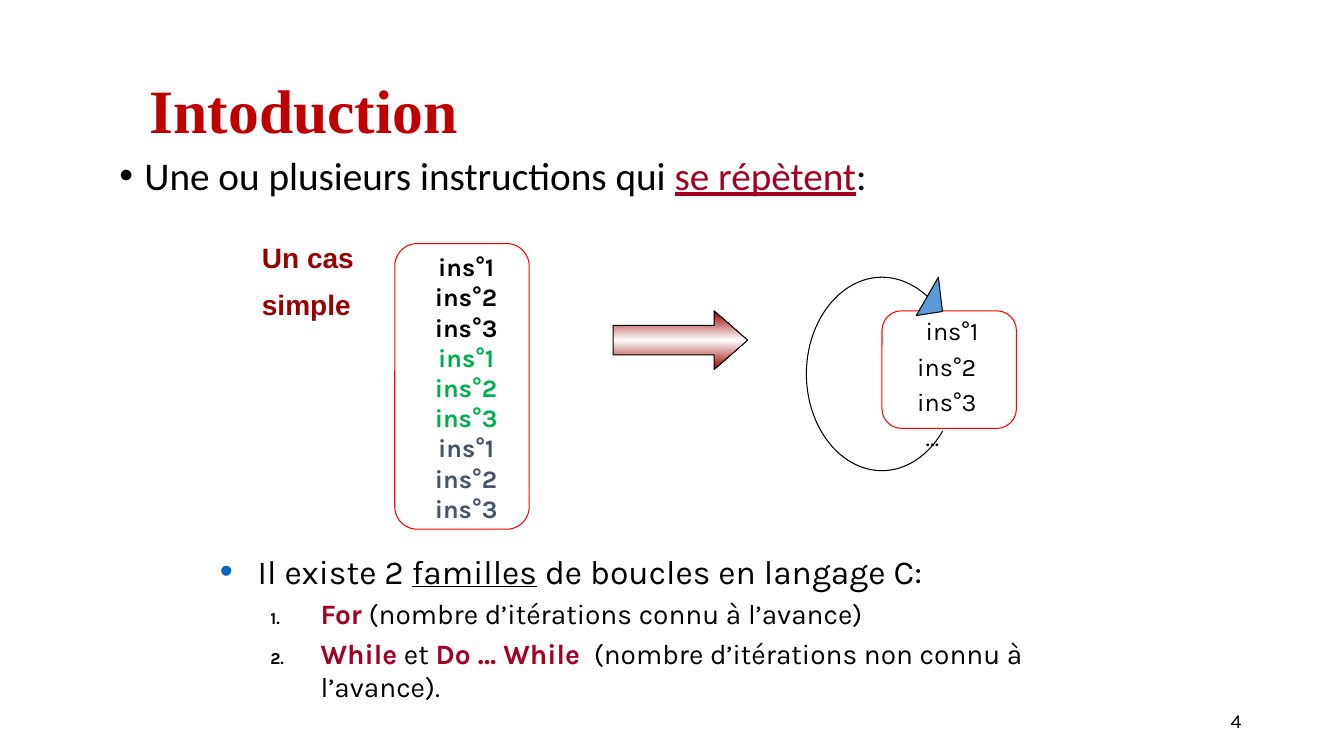
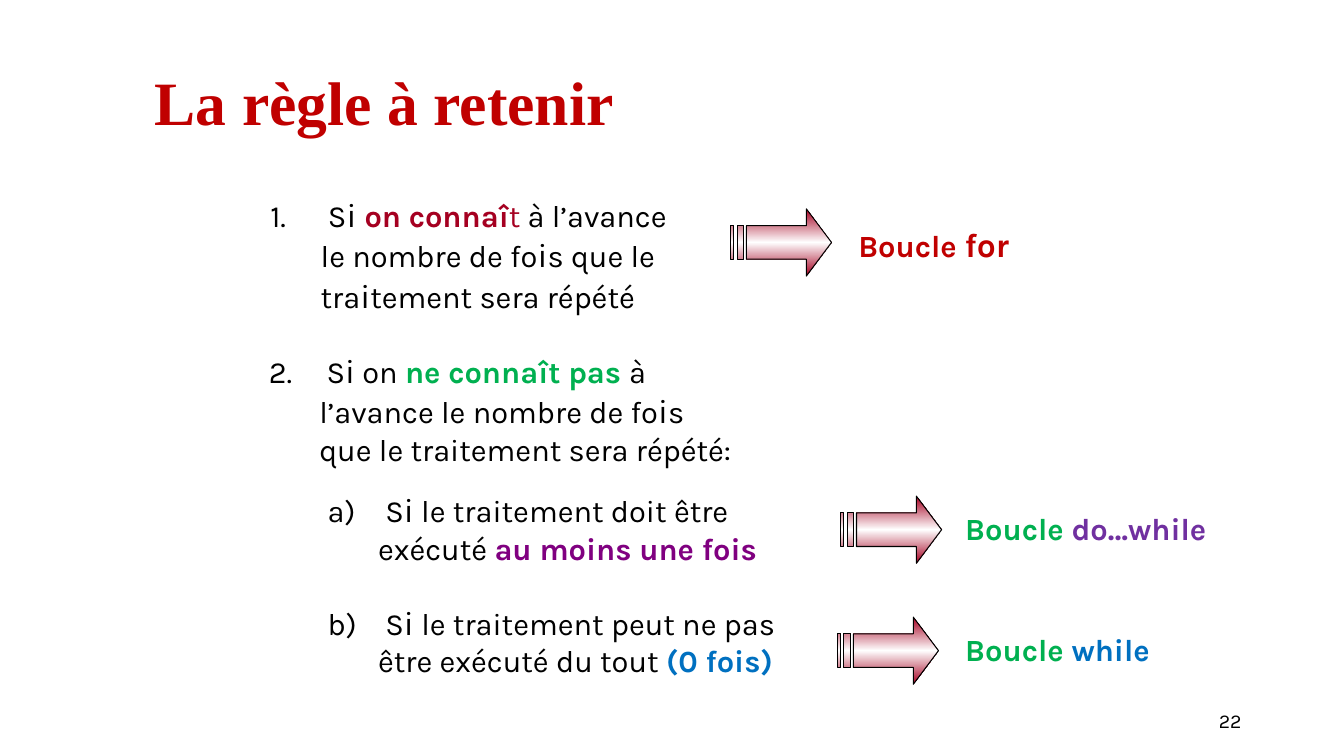
from lxml import etree
from pptx import Presentation
from pptx import util as u
from pptx.dml.color import RGBColor
from pptx.enum import shapes, text
from pptx.oxml.ns import qn

colours = {
    "black": "000000", "title": "C00000", "crimson": "A50021",
    "brick": "990000", "green": "00B050", "slate": "44546A",
    "frame": "FF0000", "head": "5B9BD5", "bullet": "0563C1",
    "white": "FFFFFF", "purple": "7030A0", "plum": "800080",
    "blue": "0070C0",
}
karla = {"name": "Karla", "color": "black"}
plain = {"color": "black", "bold": False}
strong = {"color": "crimson", "bold": True}
small, large = {"size": u.Pt(22)}, {"size": u.Pt(24)}


def write(frame, paras, **style):
    for index, (layout, spans) in enumerate(paras):
        para = frame.add_paragraph() if index else frame.paragraphs[0]
        properties = para._p.get_or_add_pPr()
        for name, value in layout.items():
            if name == "margins":
                for key, length in zip(("marL", "indent"), value):
                    properties.set(key, str(u.Pt(length)))
            elif name == "bullet":
                for tag, attributes in value:
                    mark = etree.SubElement(properties, qn(tag), attributes)
                    if tag == "a:buClr":
                        etree.SubElement(mark, qn("a:srgbClr"), val=colours[layout["mark"]])
            elif name != "mark":
                setattr(para, name, value)
        for words, changes in spans:
            style = {**style, **changes}
            span = para.add_run()
            span.text = words
            for name, value in style.items():
                if name == "color":
                    span.font.color.rgb = RGBColor.from_string(colours[value])
                else:
                    setattr(span.font, name, value)


def add_text(page, place, paras, wrap=True, anchor=text.MSO_ANCHOR.TOP, **style):
    box = page.shapes.add_textbox(*map(u.Pt, place))
    box.text_frame.word_wrap = wrap
    box.text_frame.vertical_anchor = anchor
    write(box.text_frame, paras, **style)


deck = Presentation()
deck.slide_width, deck.slide_height = u.Pt(960), u.Pt(540)
pages = []
for layout, heading, number, left, top in (
    (1, "Intoduction", "4", 99.7, 29),
    (5, "La règle à retenir", "22", 103.4, 23),
):
    page = deck.slides.add_slide(deck.slide_layouts[layout])
    title = page.shapes.title
    title.left, title.top, title.width, title.height = map(u.Pt, (left, top, 828, 104.4))
    title.text_frame.auto_size = text.MSO_AUTO_SIZE.NONE
    title.text_frame.vertical_anchor = text.MSO_ANCHOR.MIDDLE
    write(
        title.text_frame,
        [({"alignment": text.PP_ALIGN.LEFT, "line_spacing": 0.9}, [(heading, {})])],
        name="Times New Roman", size=u.Pt(44), bold=True, color="title",
    )
    add_text(
        page, (678, 500.4, 216, 28.8),
        [({"alignment": text.PP_ALIGN.RIGHT}, [(number, {})])],
        anchor=text.MSO_ANCHOR.MIDDLE, size=u.Pt(14), **karla,
    )
    pages.append(page)
intro, rule = pages

body = intro.placeholders[1]
body.left, body.top, body.width, body.height = map(u.Pt, (78, 108, 648, 42))
body.text_frame.auto_size = text.MSO_AUTO_SIZE.NONE
dot = ("a:buChar", {"char": "•"})
dot_font = ("a:buFont", {"typeface": "Arial"})
write(
    body.text_frame,
    [(
        {"margins": (18, -18), "bullet": (dot_font, dot),
         "space_before": u.Pt(0), "line_spacing": 0.9},
        [("Une ou plusieurs instructions qui ", {}),
         ("se répètent", {"color": "crimson", "underline": True}),
         (":", {"color": "black", "underline": False})],
    )],
    name="Calibri", size=u.Pt(28), color="black",
)

instructions = ("ins°1", "ins°2", "ins°3")
add_text(
    intro, (618, 222, 204, 156),
    [({"margins": (margin, 0), "space_before": u.Pt(3.6 if index else 0)}, [(words, {})])
     for index, (words, margin) in enumerate(zip((*instructions, "…"), (36, 30, 30, 36)))],
    size=u.Pt(18), **karla,
)
add_text(
    intro, (300, 176, 66, 202),
    [({"alignment": text.PP_ALIGN.CENTER}, [(words, {"color": colour})])
     for colour in ("black", "green", "slate") for words in instructions],
    name="Karla", size=u.Pt(18), bold=True,
)
add_text(
    intro, (180, 168, 84, 67),
    [({}, [("Un cas", {})]), ({"space_before": u.Pt(10)}, [("simple", {})])],
    name="Arial", size=u.Pt(20), bold=True, color="brick",
)
number_style = {
    "level": 1, "margins": (72, -36), "space_before": u.Pt(4), "mark": "black",
    "bullet": (("a:buClr", {}), ("a:buSzPct", {"val": "60000"}),
               ("a:buAutoNum", {"type": "arabicPeriod"})),
}
add_text(
    intro, (150, 390, 648, 42),
    [
        ({"margins": (27, -27), "mark": "bullet",
          "bullet": (("a:buClr", {}), ("a:buSzPct", {"val": "110000"}), dot_font, dot)},
         [("Il existe 2 ", {}), ("familles", {"underline": True}),
          (" de boucles en langage C:", {"underline": False})]),
        (number_style,
         [("For", {"size": u.Pt(20), **strong}),
          (" (nombre d’itérations connu à l’avance)", plain)]),
        (number_style,
         [("While", strong), (" et ", plain), ("Do … While ", strong),
          (" (nombre d’itérations non connu à l’avance).", plain)]),
    ],
    size=u.Pt(24), **karla,
)

outlined = []
for place in ((630, 222, 96, 84), (282, 174, 96, 204)):
    frame = intro.shapes.add_shape(shapes.MSO_SHAPE.ROUNDED_RECTANGLE, *map(u.Pt, place))
    frame.fill.background()
    outlined.append((frame, "frame"))

arc = [(u.Pt(x), u.Pt(y)) for x, y in (
    (662.4, 211.7), (653, 203), (641.5, 198), (630, 198),
    (600.5, 198), (576, 229), (576, 267.1),
    (576, 305.3), (600.5, 336.2), (630, 336.2),
    (647.3, 336.2), (663.1, 325.4), (673.2, 308.2),
)]
head = [(u.Pt(x), u.Pt(y)) for x, y in ((670.3, 198), (673.2, 222.5), (654.5, 225.4))]
there_and_back = arc[1:] + arc[-2::-1]
builder = intro.shapes.build_freeform(*arc[0])
builder.add_line_segments(there_and_back + head, close=True)
loop_arrow = builder.convert_to_shape()
outline = loop_arrow._element.spPr.find(".//" + qn("a:path"))
segments = outline.findall(qn("a:lnTo"))
for first in range(0, len(there_and_back), 3):
    curve = etree.Element(qn("a:cubicBezTo"))
    segments[first].addprevious(curve)
    for segment in segments[first:first + 3]:
        curve.append(segment[0])
        outline.remove(segment)
loop_arrow.fill.solid()
loop_arrow.fill.fore_color.rgb = RGBColor.from_string(colours["head"])
outlined.append((loop_arrow, "black"))

block_arrow = intro.shapes.add_shape(
    shapes.MSO_SHAPE.RIGHT_ARROW, *map(u.Pt, (438, 222, 96, 42)))
block_arrow.adjustments[1] = 0.57
gradients = [(block_arrow, "brick")]

for place, kind, start, spans in (
    ((186, 135, 318, 94), "arabicPeriod", 1,
     [(" S", small), ("i ", large), ("on connaî", {**small, **strong}),
      ("t", {"bold": False}), (" à l’avance le nombre de fo", plain), ("i", large),
      ("s que le tra", small), ("i", large), ("tement sera répété", small)]),
    ((185, 246.2, 348.5, 92), "arabicPeriod", 2,
     [(" S", small), ("i", large), (" on ", small),
      ("ne connaît pas ", {"color": "green", "bold": True}),
      ("à l’avance le nombre de fo", plain), ("i", large),
      ("s que le traitement sera répété:", small)]),
    ((227, 346, 332, 63), "alphaLcParenR", 1,
     [(" S", small), ("i", large), (" le traitement doit être exécuté ", small),
      ("au moins une fois", {"color": "plum", "bold": True})]),
    ((227, 426.2, 359.3, 63), "alphaLcParenR", 2,
     [(" S", small), ("i", large), (" le traitement peut ne pas être exécuté du tout ", small),
      ("(0 fois)", {"color": "blue", "bold": True})]),
):
    numbering = ("a:buAutoNum", {"type": kind, "startAt": str(start)})
    add_text(rule, place, [({"margins": (36, -36), "bullet": (numbering,)}, spans)], **karla)

for left, top, label_place, colour, keyword, changes in (
    (522, 149.2, (606, 156.2, 131, 36), "title", "for", large),
    (600.6, 354.4, (682.4, 360.4, 205, 34), "green", "do…while", {"color": "purple"}),
    (598.4, 440.8, (682.4, 446.8, 155.5, 34), "green", "while", {"color": "blue"}),
):
    add_text(
        rule, label_place, [({}, [("Boucle ", {}), (keyword, changes)])],
        wrap=False, name="Karla", bold=True, color=colour, **small,
    )
    builder = None
    for contour in (
        ((54, 0), (54, 12), (11.25, 12), (11.25, 36), (54, 36), (54, 48), (72, 24)),
        ((4.5, 12), (4.5, 36), (9, 36), (9, 12)),
        ((0, 12), (0, 36), (2.25, 36), (2.25, 12)),
    ):
        points = [(u.Pt(left + x), u.Pt(top + y)) for x, y in contour]
        if builder is None:
            builder = rule.shapes.build_freeform(*points[0])
        else:
            builder.move_to(*points[0])
        builder.add_line_segments(points[1:], close=True)
    gradients.append((builder.convert_to_shape(), "crimson"))

for arrow, colour in gradients:
    arrow.fill.gradient()
    arrow.fill.gradient_angle = 90
    stops = arrow._element.spPr.find(".//" + qn("a:gsLst"))
    stops.clear()
    for position, shade in ((0, colour), (50000, "white"), (100000, colour)):
        stop = etree.SubElement(stops, qn("a:gs"), pos=str(position))
        etree.SubElement(stop, qn("a:srgbClr"), val=colours[shade])
    outlined.append((arrow, "black"))

for shape, colour in outlined:
    shape.shadow.inherit = False
    shape.line.width = u.Pt(0.75)
    shape.line.color.rgb = RGBColor.from_string(colours[colour])

deck.save("out.pptx")
